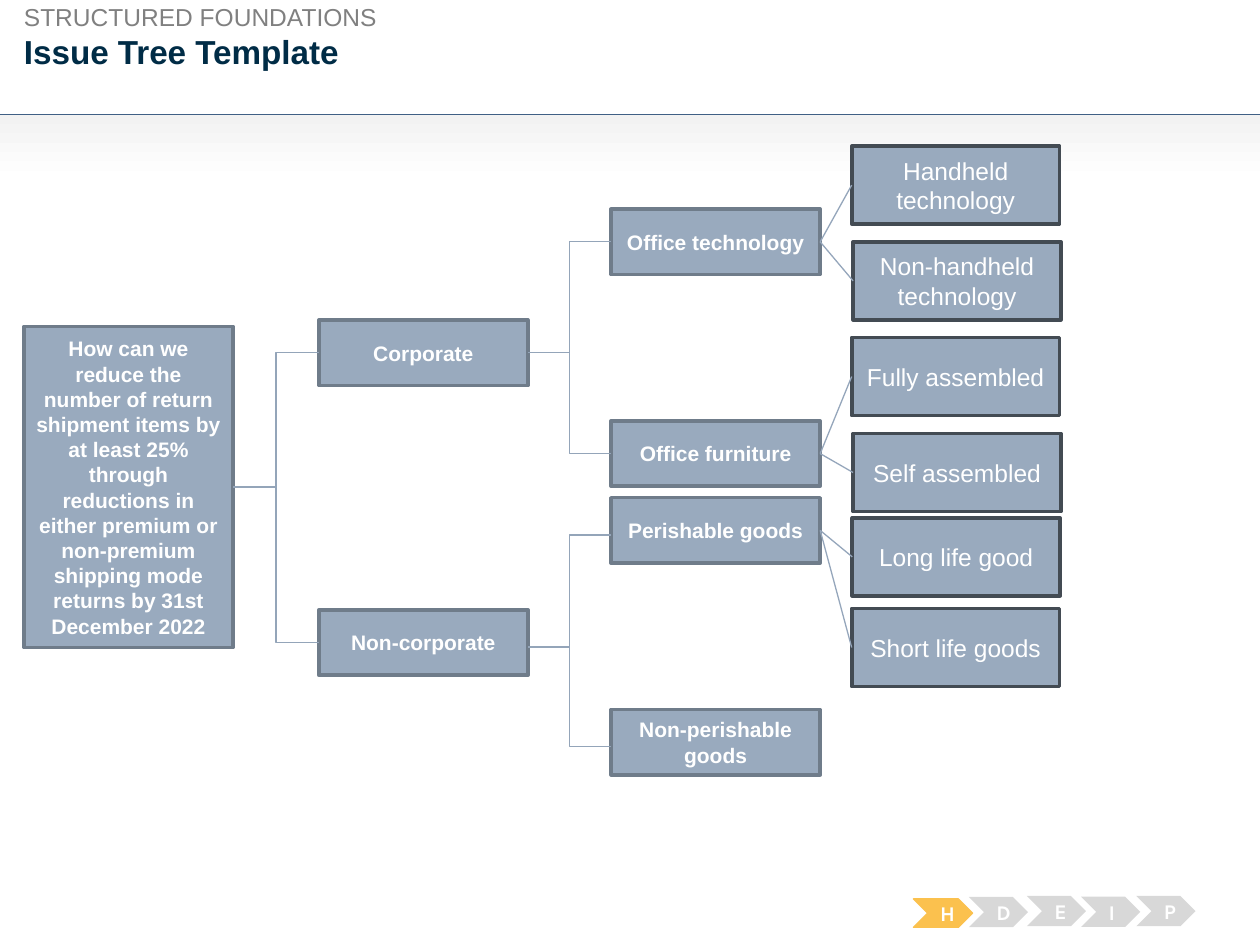
from pptx import Presentation
from pptx.dml.color import RGBColor
from pptx.enum.shapes import MSO_CONNECTOR, MSO_SHAPE
from pptx.enum.text import MSO_ANCHOR, PP_ALIGN
from pptx.oxml.ns import qn
from pptx.util import Pt
from lxml import etree

RECT, CHEVRON = MSO_SHAPE.RECTANGLE, MSO_SHAPE.CHEVRON
STRAIGHT, ELBOW = MSO_CONNECTOR.STRAIGHT, MSO_CONNECTOR.ELBOW
TOP, MIDDLE = MSO_ANCHOR.TOP, MSO_ANCHOR.MIDDLE
LEFT, CENTER = PP_ALIGN.LEFT, PP_ALIGN.CENTER
LEFT_SIDE, RIGHT_SIDE = 1, 3

WHITE = RGBColor(0xFF, 0xFF, 0xFF)
NAVY = RGBColor(0x00, 0x2C, 0x46)
GREY = RGBColor(0x80, 0x80, 0x80)
PALE = RGBColor(0xF2, 0xF2, 0xF2)
RULE = RGBColor(0x40, 0x60, 0x85)
BOX = RGBColor(0x99, 0xAA, 0xBE)
BOX_EDGE = RGBColor(0x6F, 0x7C, 0x8A)
LEAF_EDGE = RGBColor(0x43, 0x4B, 0x53)
BRANCH = RGBColor(0x94, 0xA5, 0xB9)
TWIG = RGBColor(0x95, 0xA6, 0xBB)
AMBER = RGBColor(0xFB, 0xC1, 0x4E)
SILVER = RGBColor(0xD8, 0xD8, 0xD8)

NODE_W, NODE_H = 119.5, 37.4
LEAF_W, LEAF_H = 118.8, 44.6
QUESTION = ("How can we reduce the number of return shipment items by at least 25% "
            "through reductions in either premium or non-premium shipping mode "
            "returns by 31st December 2022")


def write(s, text, size=12, bold=False, color=WHITE, font="Arial",
          align=CENTER, anchor=MIDDLE, margins=(7.2, 3.6)):
    tf = s.text_frame
    tf.word_wrap = True
    tf.vertical_anchor = anchor
    tf.margin_left = tf.margin_right = Pt(margins[0])
    tf.margin_top = tf.margin_bottom = Pt(margins[1])
    p = tf.paragraphs[0]
    p.alignment = align
    r = p.add_run()
    r.text = text
    r.font.name, r.font.size, r.font.bold = font, Pt(size), bold
    r.font.color.rgb = color


def add_box(slide, kind, box, fill=None, edge=None, width=2):
    s = slide.shapes.add_shape(kind, *map(Pt, box))
    s.shadow.inherit = False
    if fill is not None:
        s.fill.solid()
        s.fill.fore_color.rgb = fill
    if edge is None:
        s.line.fill.background()
    else:
        s.line.color.rgb = edge
        s.line.width = Pt(width)
    return s


def add_line(slide, kind, start, end, color):
    line = slide.shapes.add_connector(kind, *start, *end)
    line.line.color.rgb = color
    line.line.width = Pt(0.75)
    etree.SubElement(line._element.spPr, qn("a:effectLst"))
    return line


def link(slide, kind, parent, child, color, drop=0):
    start = (parent.left + parent.width, parent.top + parent.height // 2 + Pt(drop))
    end = (child.left, child.top + child.height // 2 + Pt(drop))
    line = add_line(slide, kind, start, end, color)
    if not drop:
        line.begin_connect(parent, RIGHT_SIDE)
        line.end_connect(child, LEFT_SIDE)


def add_header(slide, x, y, w):
    title = slide.shapes.title
    title.left, title.top, title.width, title.height = Pt(x), Pt(y + 16.6), Pt(w), Pt(23.8)
    heading = dict(align=LEFT, anchor=TOP, margins=(0, 0))
    write(title, "Issue Tree Template", size=19, bold=True, color=NAVY, **heading)
    kicker = slide.shapes.add_textbox(Pt(x), Pt(y), Pt(204.5), Pt(17.3))
    write(kicker, "STRUCTURED FOUNDATIONS", size=14, color=GREY, **heading)


def add_divider(slide, x, y, w, h):
    band = add_box(slide, RECT, (x, y, w, h))
    band.fill.gradient()
    band.fill.gradient_angle = 270
    for stop, position, color in zip(band.fill.gradient_stops, (0, 1), (PALE, WHITE)):
        stop.position = position
        stop.color.rgb = color
    add_line(slide, STRAIGHT, (Pt(x), Pt(y)), (Pt(x + w), Pt(y)), RULE)


def add_stage_tracker(slide, x, y, w, h):
    steps = zip("HDEIP", (0, 31.7, 64.8, 95.8, 127.4), (1.6, 0.6, 0, 0.4, 0))
    for letter, dx, dy in steps:
        active = letter == "H"
        s = add_box(slide, CHEVRON, (x + dx, y + dy, w, h - 1 if active else h),
                    AMBER if active else SILVER, AMBER if active else None, 0.75)
        write(s, letter, bold=True, font="Karla")


def add_node(slide, text, x, y, w=NODE_W, h=NODE_H):
    s = add_box(slide, RECT, (x, y, w, h), BOX, BOX_EDGE)
    write(s, text, bold=True)
    return s


def add_leaf(slide, text, x, y):
    s = add_box(slide, RECT, (x, y, LEAF_W, LEAF_H), BOX, LEAF_EDGE)
    write(s, text, size=14)
    return s


def add_issue_tree(slide, x, y):
    branch_x, topic_x, leaf_x = x + 168.5, x + 335.5, x + 473
    tree = [
        ("Corporate", 99.4, 0, [
            ("Office technology", 36, [("Handheld technology", 0, 0),
                                       ("Non-handheld technology", 0.8, 54.7)]),
            ("Office furniture", 157, [("Fully assembled", 0, 109.4),
                                       ("Self assembled", 0.8, 164.2)])]),
        ("Non-corporate", 265, 2.6, [
            ("Perishable goods", 200.9, [("Long life good", 0.3, 212.4),
                                         ("Short life goods", 0, 264.2)]),
            ("Non-perishable goods", 321.9, [])]),
    ]
    root = add_node(slide, QUESTION, x, y + 103, h=183.6)
    for branch_text, branch_y, drop, topics in tree:
        branch = add_node(slide, branch_text, branch_x, y + branch_y)
        link(slide, ELBOW, root, branch, BRANCH)
        for topic_text, topic_y, leaves in topics:
            topic = add_node(slide, topic_text, topic_x, y + topic_y)
            link(slide, ELBOW, branch, topic, BRANCH, drop)
            for leaf_text, dx, leaf_y in leaves:
                leaf = add_leaf(slide, leaf_text, leaf_x + dx, y + leaf_y)
                link(slide, STRAIGHT, topic, leaf, TWIG)


def main():
    prs = Presentation()
    prs.slide_width, prs.slide_height = Pt(720), Pt(540)
    slide = prs.slides.add_slide(prs.slide_layouts[5])
    add_header(slide, 13.7, 1.4, 679)
    add_divider(slide, 0, 65.5, 720, 37.4)
    add_stage_tracker(slide, 522, 512, 33.8, 17.3)
    add_issue_tree(slide, 13.7, 83.5)
    prs.save("out.pptx")


if __name__ == "__main__":
    main()
